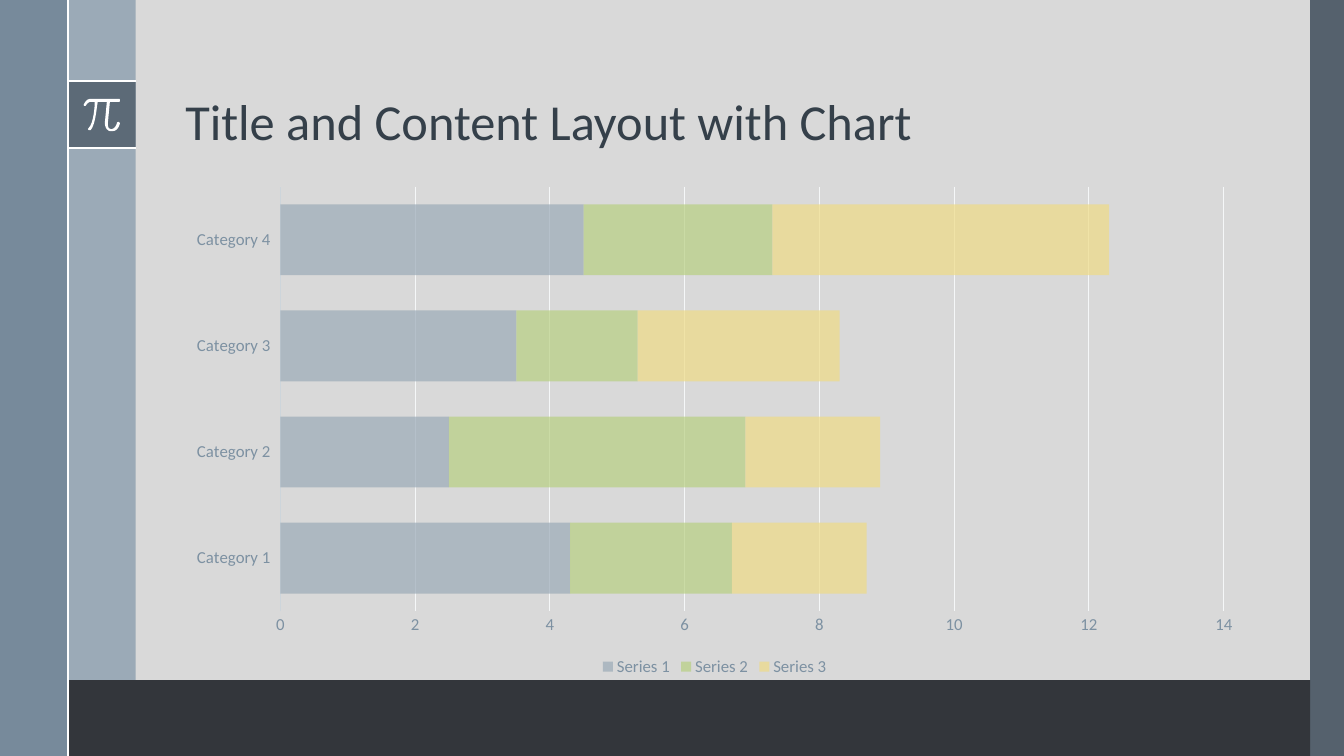
import pptx
import pptx.chart.data
import pptx.dml.color
import pptx.enum.chart
import pptx.enum.shapes
import pptx.enum.text
import pptx.oxml
import pptx.oxml.ns
import pptx.util

Cm = pptx.util.Cm
Pt = pptx.util.Pt
qn = pptx.oxml.ns.qn

TITLE = "Title and Content Layout with Chart"
CATEGORIES = ["Category 1", "Category 2", "Category 3", "Category 4"]
SERIES = [
    ("Series 1", (4.3, 2.5, 3.5, 4.5), "mist"),
    ("Series 2", (2.4, 4.4, 1.8, 2.8), "green"),
    ("Series 3", (2, 2, 3, 5), "yellow"),
]
COLORS = {
    "background": "D9D9D9", "slate": "475562", "mist": "9BAAB7",
    "steel": "6A8093", "white": "FFFFFF", "footer": "33363B",
    "title": "35404A", "label": "7D91A2", "axis": "CDD5DB",
    "grid": "F5F7F8", "green": "B8D082", "yellow": "EFDB85",
}
FONT = "Calibri"
WIDTH, HEIGHT = 33.87, 19.05
BAND = 1.71
RIGHT, FOOTER_TOP = 33.02, 17.14
BADGE_TOP, BADGE_BOTTOM = 2.05, 3.74
CONTENT_LEFT, CONTENT_WIDTH = 4.42, 27.18
PANELS = [
    (RIGHT, 0, WIDTH, HEIGHT, "slate", 90),
    (BAND, 0, 2 * BAND, HEIGHT, "mist", 100),
    (0, 0, BAND, HEIGHT, "steel", 88),
    (BAND, BADGE_TOP, 2 * BAND, BADGE_BOTTOM, "slate", 75),
    (BAND, FOOTER_TOP, RIGHT, HEIGHT, "footer", 100),
]
RULES = [
    (BAND, BADGE_TOP, 2 * BAND, BADGE_TOP),
    (BAND, BADGE_BOTTOM, 2 * BAND, BADGE_BOTTOM),
    (BAND, 0, BAND, HEIGHT),
]
PI_LEFT, PI_TOP, PI_UNIT = 2.11, 2.49, 0.0254
PI_START = (35, 0)
PI_STEPS = [
    [(7, 0)],
    [(2, 0), (0, 6), (0, 6)],
    [(0, 6), (0, 7), (1, 7)],
    [(2, 7)],
    [(2, 7), (4, 3), (7, 3)],
    [(11, 3)],
    [(11, 7), (10, 24), (5, 29)],
    [(4, 30), (4, 30), (5, 31)],
    [(7, 31)],
    [(12, 25), (13, 7), (14, 3)],
    [(23, 3)],
    [(21, 24)],
    [(21, 24), (21, 29), (24, 31)],
    [(25, 32), (26, 32), (27, 32)],
    [(29, 32)],
    [(34, 32), (36, 25), (36, 24)],
    [(36, 24), (35, 23), (35, 23)],
    [(34, 23), (33, 23), (33, 24)],
    [(33, 24), (32, 29), (28, 30)],
    [(27, 30), (26, 30), (25, 29)],
    [(24, 28), (24, 25), (24, 24)],
    [(26, 3)],
    [(35, 3)],
    [(36, 3), (36, 2), (36, 2)],
    [(36, 1), (36, 0), (35, 0)],
]


def rgb(name):
    return pptx.dml.color.RGBColor.from_string(COLORS[name])


def drawing_element(tag, attributes=""):
    return pptx.oxml.parse_xml(
        f'<a:{tag} {pptx.oxml.ns.nsdecls("a")} {attributes}/>')


def paint(fill, element, color, opacity=100):
    fill.solid()
    fill.fore_color.rgb = rgb(color)
    if opacity < 100:
        alpha = drawing_element("alpha", f'val="{opacity * 1000}"')
        element.find(".//" + qn("a:srgbClr")).append(alpha)


def finish(shape, color, opacity=100):
    shape.shadow.inherit = False
    paint(shape.fill, shape._element, color, opacity)
    shape.line.fill.background()


def style_font(font, size, color):
    font.name = FONT
    font.size = Pt(size)
    font.color.rgb = rgb(color)


def add_panel(slide, left, top, right, bottom, color, opacity):
    shape = slide.shapes.add_shape(
        pptx.enum.shapes.MSO_SHAPE.RECTANGLE,
        Cm(left), Cm(top), Cm(right - left), Cm(bottom - top))
    finish(shape, color, opacity)


def add_rule(slide, *ends):
    connector = slide.shapes.add_connector(
        pptx.enum.shapes.MSO_CONNECTOR.STRAIGHT, *map(Cm, ends))
    connector.line.color.rgb = rgb("white")
    connector.line.width = Pt(1.5)
    connector._element.spPr.append(drawing_element("effectLst"))


def pi_outline():
    points = [PI_START]
    for step in PI_STEPS:
        if len(step) == 1:
            points += step
            continue
        curve = [points[-1]] + step
        for part in range(1, 9):
            t = part / 8
            weights = ((1 - t) ** 3, 3 * t * (1 - t) ** 2, 3 * t * t * (1 - t), t ** 3)
            points.append(tuple(
                sum(weight * point[axis] for weight, point in zip(weights, curve))
                for axis in (0, 1)))
    return [(Cm(PI_LEFT + x * PI_UNIT), Cm(PI_TOP + y * PI_UNIT)) for x, y in points]


def add_pi(slide):
    start, *others = pi_outline()
    builder = slide.shapes.build_freeform(*start)
    builder.add_line_segments(others, close=True)
    finish(builder.convert_to_shape(), "white")


def add_title(slide):
    box = slide.shapes.add_textbox(
        Cm(CONTENT_LEFT), Cm(0.48), Cm(CONTENT_WIDTH), Cm(3.46))
    frame = box.text_frame
    frame.word_wrap = True
    frame.vertical_anchor = pptx.enum.text.MSO_ANCHOR.BOTTOM
    paragraph = frame.paragraphs[0]
    paragraph.text = TITLE
    paragraph.line_spacing = 0.9
    style_font(paragraph.font, 36, "title")


def add_stacked_chart(slide):
    data = pptx.chart.data.CategoryChartData()
    data.categories = CATEGORIES
    for name, values, _ in SERIES:
        data.add_series(name, values)
    chart = slide.shapes.add_chart(
        pptx.enum.chart.XL_CHART_TYPE.BAR_STACKED, Cm(CONTENT_LEFT), Cm(4.45),
        Cm(CONTENT_WIDTH), Cm(12.7), data).chart
    style_font(chart.font, 12, "label")
    chart.has_title = False
    chart.has_legend = True
    chart.legend.position = pptx.enum.chart.XL_LEGEND_POSITION.BOTTOM
    chart.legend.include_in_layout = False
    style_font(chart.legend.font, 12, "label")

    plot = chart.plots[0]
    plot.gap_width = 50
    plot.overlap = 100
    plot.vary_by_categories = False
    for series, (_, _, color) in zip(plot.series, SERIES):
        paint(series.format.fill, series._element, color, 70)

    for axis in (chart.category_axis, chart.value_axis):
        axis.major_tick_mark = pptx.enum.chart.XL_TICK_MARK.NONE
        axis.minor_tick_mark = pptx.enum.chart.XL_TICK_MARK.NONE
        style_font(axis.tick_labels.font, 12, "label")
    chart.category_axis.tick_label_position = pptx.enum.chart.XL_TICK_LABEL_POSITION.LOW
    chart.value_axis.has_major_gridlines = True
    grid_line = chart.value_axis.major_gridlines.format.line
    for line, color in ((chart.category_axis.format.line, "axis"), (grid_line, "grid")):
        line.color.rgb = rgb(color)
        line.width = Pt(0.75)
    chart.value_axis.format.line.fill.background()


def main():
    """Build a slide with a side band, a title and a stacked bar chart."""
    presentation = pptx.Presentation()
    presentation.slide_width = Cm(WIDTH)
    presentation.slide_height = Cm(HEIGHT)
    slide = presentation.slides.add_slide(presentation.slide_layouts[6])
    paint(slide.background.fill, slide._element, "background")
    for panel in PANELS:
        add_panel(slide, *panel)
    for rule in RULES:
        add_rule(slide, *rule)
    add_pi(slide)
    add_title(slide)
    add_stacked_chart(slide)
    presentation.save("out.pptx")


if __name__ == "__main__":
    main()
